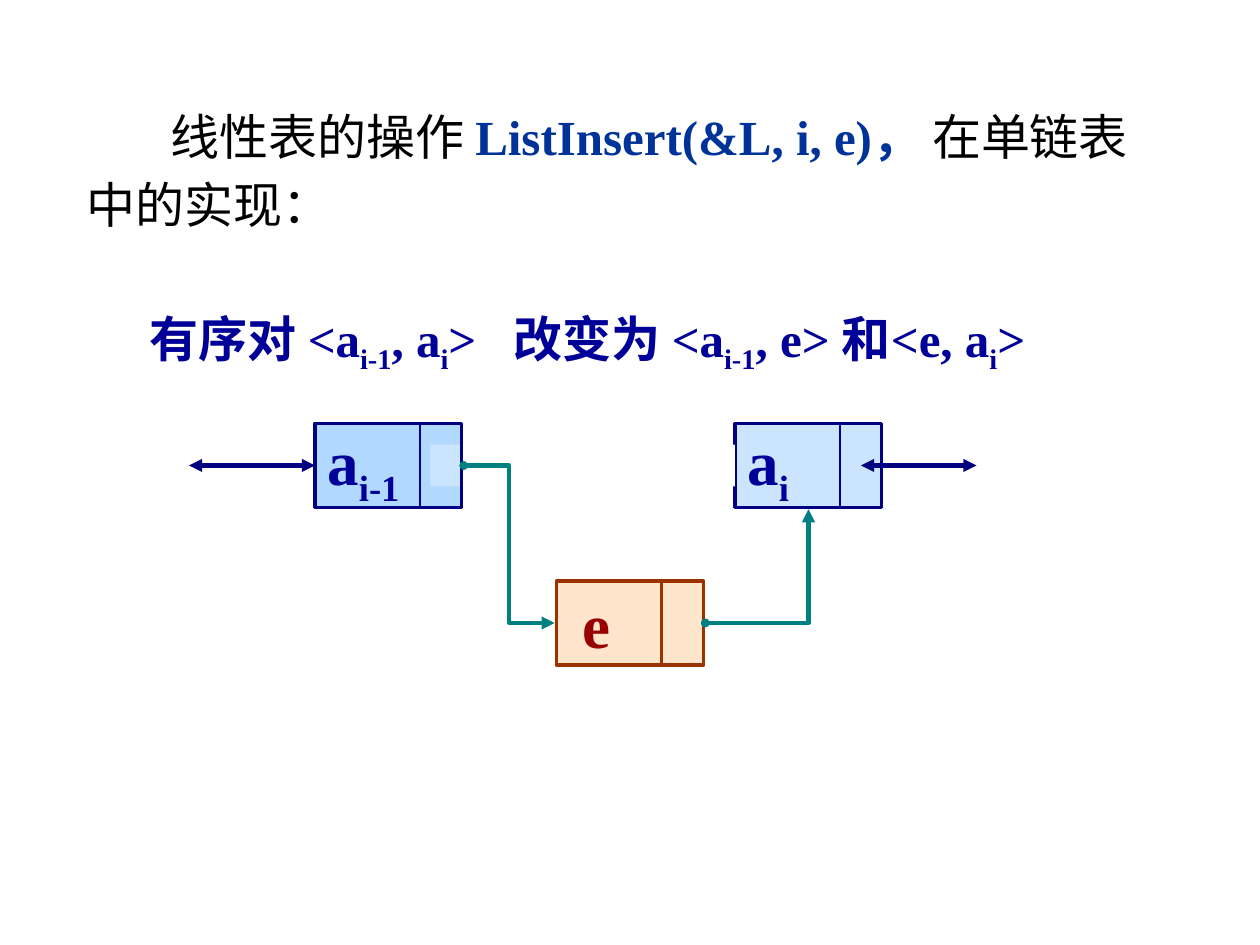
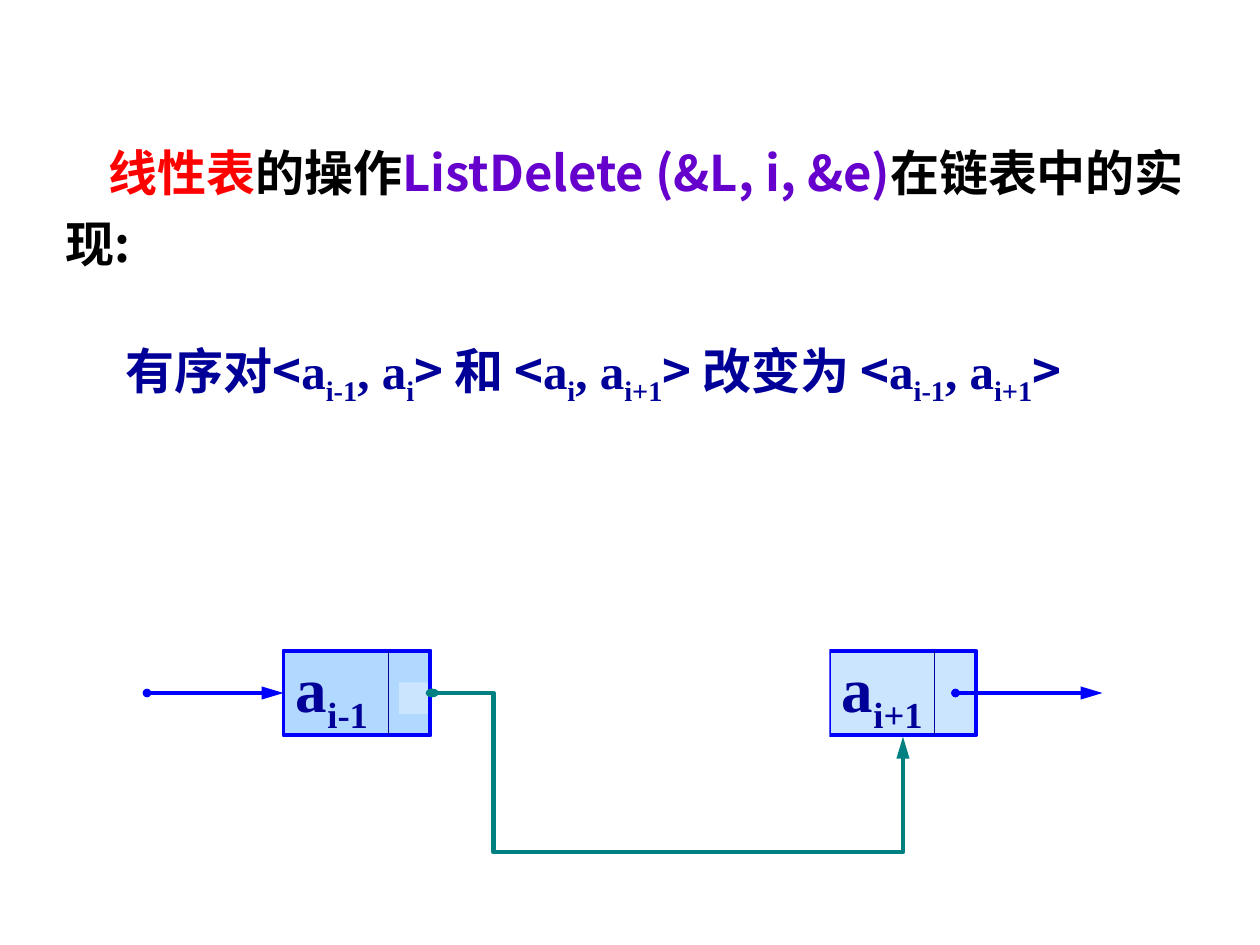
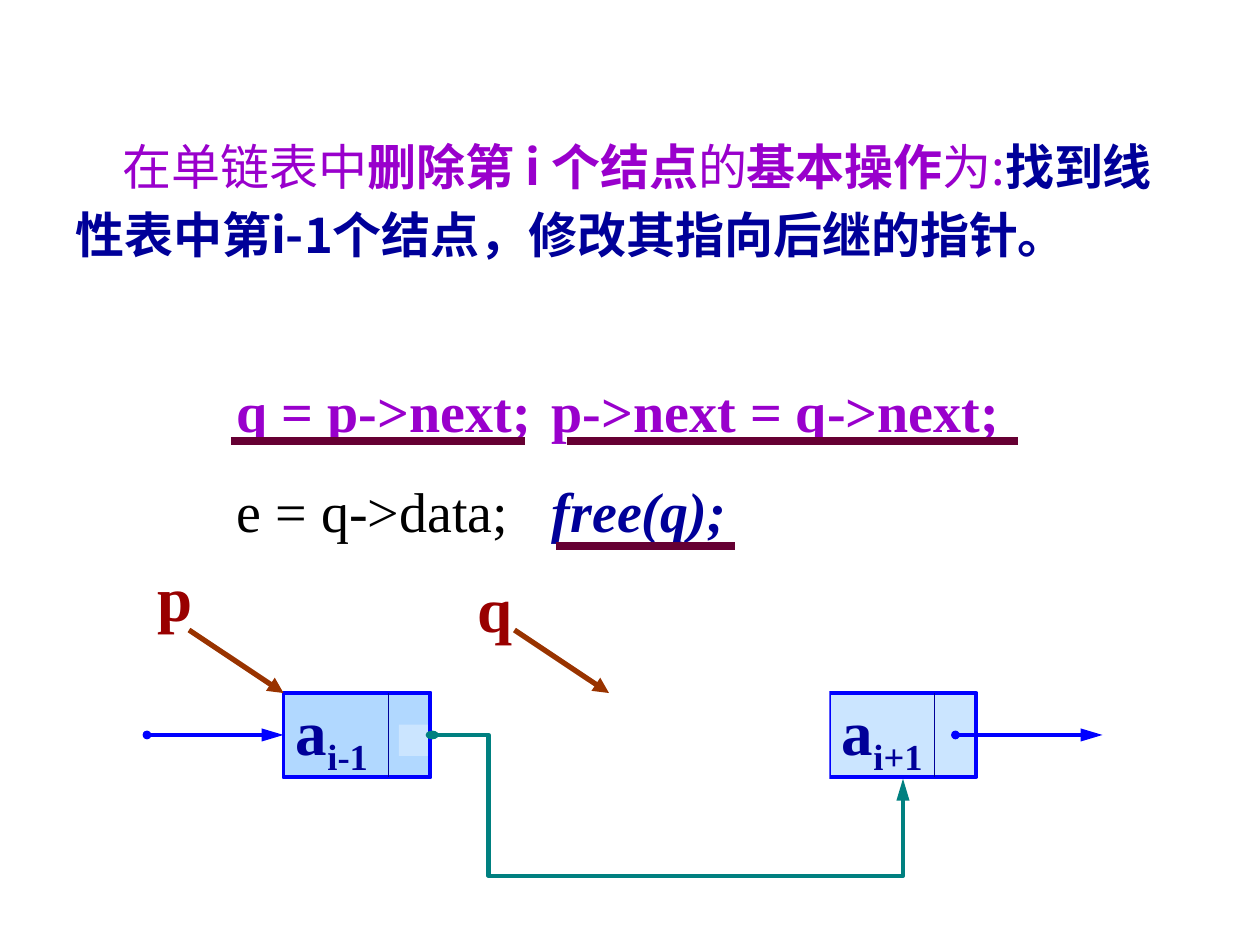
from dataclasses import dataclass

from lxml import etree
from pptx import Presentation
from pptx import util as u
from pptx.dml.color import RGBColor
from pptx.enum import shapes, text
from pptx.oxml.ns import qn


@dataclass(frozen=True)
class Theme:
    serif: str = "Times New Roman"
    sans: str = "Noto Sans CJK SC"
    body: int = 28
    code: int = 32
    label: int = 36
    white: str = "FFFFFF"
    black: str = "000000"
    red: str = "FF0000"
    sky: str = "99CCFF"
    peach: str = "FFCC99"
    navy: str = "000080"
    ink: str = "000099"
    royal: str = "003399"
    blue: str = "0000FF"
    indigo: str = "6600CC"
    violet: str = "9900CC"
    teal: str = "008080"
    brown: str = "993300"
    crimson: str = "990000"
    plum: str = "660033"


THEME = Theme()
NODE_WIDTH, NODE_HEIGHT, DIVIDER = 84, 48, 60
MIDDLE = NODE_HEIGHT / 2


def points(*lengths):
    return [u.Pt(length) for length in lengths]


def add_child(parent, tag, **attributes):
    return etree.SubElement(parent, qn(tag), attributes)


def add_span(para, content, font=THEME.serif, size=THEME.body, color=THEME.ink,
             bold=True, italic=False):
    """Add text to a paragraph; parts between underscores are subscripts."""
    for number, part in enumerate(content.split("_")):
        if not part:
            continue
        span = para.add_run()
        span.text = part
        span.font.size = u.Pt(size)
        span.font.bold = bold
        span.font.italic = italic
        span.font.color.rgb = RGBColor.from_string(color)
        span.font.name = font
        properties = span.font._element
        add_child(properties, "a:ea", typeface=THEME.sans)
        if number % 2:
            properties.set("baseline", "-25000")


def fill_frame(frame, lines, spacing=None, indent=0, tabs=()):
    """Write lines, each a list of (text, format) spans, with one tab stop per line."""
    frame.word_wrap = True
    for number, spans in enumerate(lines):
        para = frame.add_paragraph() if number else frame.paragraphs[0]
        para.alignment = text.PP_ALIGN.LEFT
        if spacing:
            para.line_spacing = spacing
        properties = para._p.get_or_add_pPr()
        properties.set("indent", str(u.Pt(indent)))
        if tabs:
            stops = add_child(properties, "a:tabLst")
            add_child(stops, "a:tab", pos=str(u.Pt(tabs[number])), algn="l")
        for content, style in spans:
            add_span(para, content, **style)


def add_text(page, box, lines, **layout):
    fill_frame(page.shapes.add_textbox(*points(*box)).text_frame, lines, **layout)


def add_block(page, box, color, alpha=None, line=None, width=0):
    block = page.shapes.add_shape(shapes.MSO_SHAPE.RECTANGLE, *points(*box))
    block.shadow.inherit = False
    block.fill.solid()
    block.fill.fore_color.rgb = RGBColor.from_string(color)
    if alpha:
        shade = block.fill._xPr.find(".//" + qn("a:srgbClr"))
        add_child(shade, "a:alpha", val=str(alpha * 1000))
    if line:
        block.line.color.rgb = RGBColor.from_string(line)
        block.line.width = u.Pt(width)
    else:
        block.line.fill.background()
    return block


def add_line(page, start, end, color, width, head=None, tail=None, bend=None, adjust=()):
    """Draw a line; head and tail are (type, width, length), bend is an elbow preset."""
    kind = shapes.MSO_CONNECTOR.ELBOW if bend else shapes.MSO_CONNECTOR.STRAIGHT
    line = page.shapes.add_connector(kind, *points(*start, *end))
    line.line.color.rgb = RGBColor.from_string(color)
    line.line.width = u.Pt(width)
    stroke = line.line._get_or_add_ln()
    for tag, mark in (("a:headEnd", head), ("a:tailEnd", tail)):
        if mark:
            add_child(stroke, tag, **dict(zip(("type", "w", "len"), mark)))
    add_child(line._element.spPr, "a:effectLst")
    if bend:
        geometry = line._element.spPr.find(qn("a:prstGeom"))
        geometry.set("prst", bend)
        guides = geometry.find(qn("a:avLst"))
        for number, ratio in enumerate(adjust, 1):
            add_child(guides, "a:gd", name=f"adj{number}", fmla=f"val {round(ratio * 100000)}")


DOT = ("oval", "sm", "sm")
WIDE_DOT = ("oval", "sm", "med")
ARROW = ("triangle", "med", "med")
LONG_ARROW = ("triangle", "med", "lg")


def add_node(page, left, top, label, line, width, fill=THEME.sky, color=THEME.ink,
             divider=THEME.ink, divider_width=0.75, indent=0):
    """Draw a list node: a data cell with its label and a pointer cell."""
    block = add_block(page, (left, top, NODE_WIDTH, NODE_HEIGHT), fill, 50, line, width)
    block.text_frame.vertical_anchor = text.MSO_ANCHOR.MIDDLE
    fill_frame(block.text_frame, [[(label, dict(size=THEME.label, color=color))]], indent=indent)
    split = left + DIVIDER
    add_line(page, (split, top), (split, top + NODE_HEIGHT), divider, divider_width)


def add_relinked_node(page, left, top, patch, line, width):
    """Draw the node a_i-1 in a deeper tint, with a patch over its pointer cell."""
    add_block(page, (left, top, NODE_WIDTH, NODE_HEIGHT), THEME.sky, 50, line, width)
    add_block(page, patch, THEME.white)
    add_node(page, left, top, "a_i-1_", line, width)


def insert_diagram(page, left, top):
    axis = top + MIDDLE
    following, added, lower = left + 240, left + 138, top + 90
    both = dict(color=THEME.navy, width=2.5, head=ARROW, tail=ARROW)
    add_line(page, (left - 72, axis), (left, axis), **both)
    add_node(page, added, lower, "e", THEME.brown, 2, THEME.peach, THEME.crimson,
             THEME.brown, 2, indent=8)
    add_node(page, following, top, "a_i_", THEME.navy, 1.75)
    add_line(page, (following + 72, axis), (following + 138, axis), **both)
    add_relinked_node(page, left, top, (left + 66, top + 12, 174, 24), THEME.navy, 1.75)
    link = dict(color=THEME.teal, width=2.5, head=DOT, tail=ARROW)
    add_line(page, (left + 85, axis), (added - 1, lower + MIDDLE),
             bend="bentConnector3", **link)
    add_line(page, (added + 85, lower + MIDDLE), (following + 42, top + 49),
             bend="bentConnector2", **link)


def delete_diagram(page, left, top, gap_height, bends):
    axis = top + MIDDLE
    following = left + 312
    chain = dict(color=THEME.blue, width=2.5, head=DOT, tail=LONG_ARROW)
    add_line(page, (left - 78, axis), (left, axis), **chain)
    add_node(page, following, top, "a_i+1_", THEME.blue, 2.25)
    add_line(page, (following + 72, axis), (following + 156, axis), **chain)
    add_relinked_node(page, left, top, (left + 66, top + 18, 90, 18), THEME.blue, 2.25)
    add_line(page, (left + 85, axis), (following + 42, top + 49), THEME.teal, 2.5,
             WIDE_DOT, LONG_ARROW, "bentConnector4", bends)
    add_block(page, (left + 150, top - 6, 162, gap_height), THEME.white)


def add_pointer(page, name, box, start):
    add_line(page, start, (start[0] + 54, start[1] + 36), THEME.brown, 3, tail=ARROW)
    add_text(page, box, [[(name, dict(size=THEME.label, color=THEME.crimson))]])


def insert_slide(page):
    plain = dict(color=THEME.black, bold=False)
    add_text(page, (42.5, 52.5, 635, 86), [[
        ("线性表的操作 ", dict(plain, font=THEME.sans)),
        ("ListInsert(&L, i, e)， ", dict(color=THEME.royal)),
        ("在单链表中的实现：", plain),
    ]], spacing=1.15, indent=48)
    add_text(page, (70.6, 157.5, 595, 94), [[
        ("有序对 <a_i-1_, a_i_>\t改变为 <a_i-1_, e> 和<e, a_i_>", {}),
    ]], spacing=1.4, indent=8, tabs=[222])
    insert_diagram(page, 180, 242)


def delete_slide(page):
    sans = dict(font=THEME.sans)
    add_text(page, (30.2, 71.3, 670, 88), [[
        ("线性表", dict(sans, color=THEME.red)),
        ("的操作", dict(sans, color=THEME.black)),
        ("ListDelete (&L, i, &e)", dict(sans, color=THEME.indigo)),
        ("在链表中的实现:", dict(sans, color=THEME.black)),
    ]], spacing=1.2, indent=25)
    add_text(page, (64.8, 175.7, 607, 114), [[
        ("有序对<", sans), ("a_i-1_, a_i_", {}),
        ("> 和 <", sans), ("a_i_, a_i+1_", {}),
        ("> 改变为 <", sans), ("a_i-1_, a_i+1_", {}),
        (">", sans),
    ]], spacing=1.4)
    delete_diagram(page, 162, 372, 60, (0.13, 3.64))


def delete_steps_slide(page):
    strong = dict(font=THEME.sans, color=THEME.violet)
    light = dict(strong, bold=False)
    add_text(page, (36, 69.5, 649.5, 126), [[
        ("在单链表中", light), ("删除第 i 个结点", strong), ("的", light),
        ("基本操作", strong), ("为:", light),
        ("找到线性表中第i-1个结点，修改其指向后继的指针。", dict(font=THEME.sans)),
    ]], spacing=1.15, indent=27)
    delete_diagram(page, 162, 396, 66, (0.12, 3.22))
    code = dict(size=THEME.code)
    add_text(page, (128.2, 192.2, 478, 122.4), [
        [("q = p->next;\tp->next = q->next;", dict(code, color=THEME.violet))],
        [("e = q->data;\t", dict(code, color=THEME.black, bold=False)),
         ("free(q);", dict(code, italic=True))],
    ], spacing=1.5, tabs=[192, 196])
    add_pointer(page, "p", (82.8, 315.4, 34.6, 50.4), (108, 360))
    add_pointer(page, "q", (265.7, 321.8, 34.6, 50.4), (294, 360))
    for left, right, height in ((132, 300, 252), (324, 582, 252), (318, 420, 312)):
        add_line(page, (left, height), (right, height), THEME.plum, 4.5)


def main():
    deck = Presentation()
    deck.slide_width, deck.slide_height = points(720, 540)
    for build in (insert_slide, delete_slide, delete_steps_slide):
        build(deck.slides.add_slide(deck.slide_layouts[6]))
    deck.save("out.pptx")


if __name__ == "__main__":
    main()
